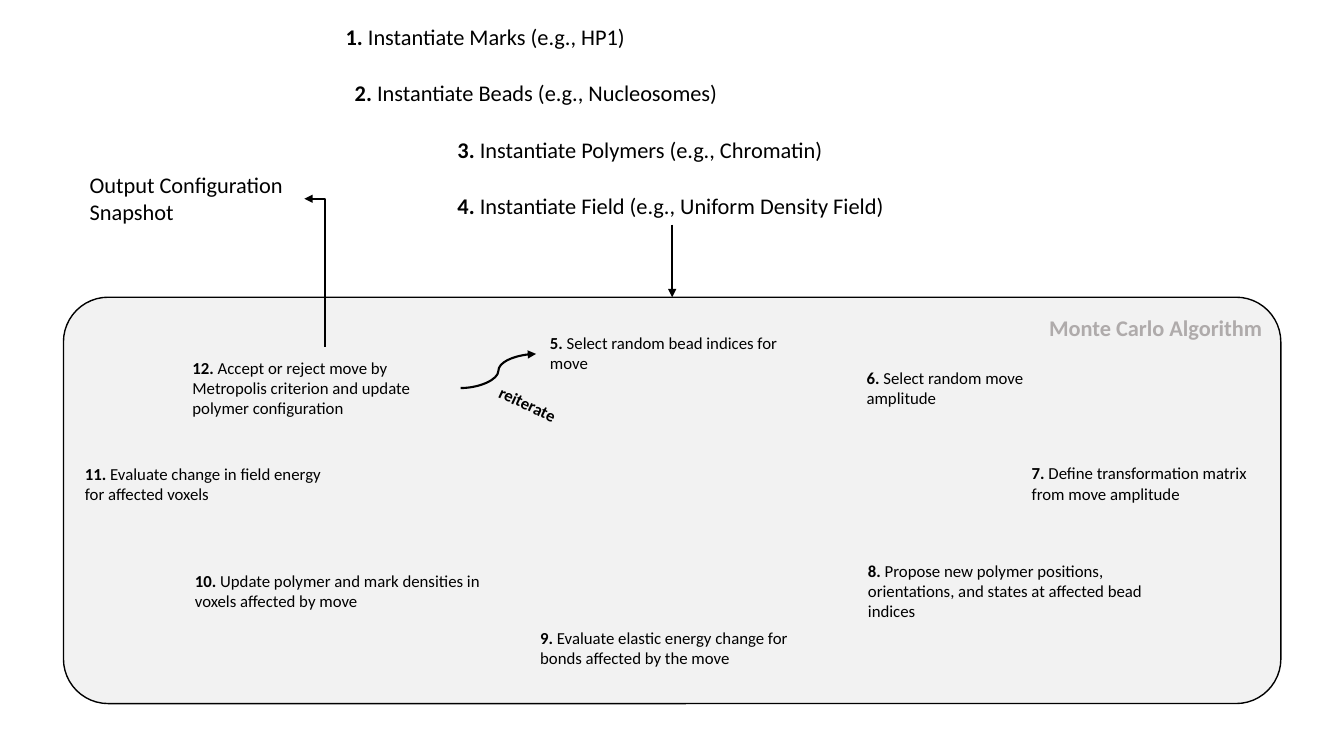
"""Build the Monte Carlo polymer simulation flow slide."""
from dataclasses import dataclass

from lxml import etree
from pptx import Presentation
from pptx.dml.color import RGBColor
from pptx.enum import shapes, text
from pptx.oxml import ns
from pptx.util import Cm, Pt


@dataclass(frozen=True)
class Theme:
    font: str = "Calibri"
    ink: RGBColor = RGBColor(0, 0, 0)
    panel: RGBColor = RGBColor(0xF2, 0xF2, 0xF2)
    muted: RGBColor = RGBColor(0xAF, 0xAB, 0xAB)
    large: Pt = Pt(16)
    small: Pt = Pt(12)
    outline: Pt = Pt(1)
    arrow: Pt = Pt(1.5)


@dataclass(frozen=True)
class Box:
    left: float
    top: float
    width: float
    height: float

    def lengths(self) -> tuple:
        return Cm(self.left), Cm(self.top), Cm(self.width), Cm(self.height)


@dataclass(frozen=True)
class Label:
    box: Box
    bold: str = ""
    plain: str = ""
    size: Pt = Theme.large
    color: RGBColor = Theme.ink
    wrap: bool = True
    rotation: float = 0


@dataclass(frozen=True)
class Arrow:
    kind: shapes.MSO_CONNECTOR
    start: tuple
    end: tuple
    preset: str = ""
    rotation: int = 0


THEME = Theme()
SETUP_TOP, SETUP_PITCH, LINE_HEIGHT = 0.46, 1.42, 0.94
PANEL = Box(1.6, 7.49, 30.68, 10.24)

SETUP = [
    (8.46, 8.05, "Instantiate Marks (e.g., HP1)"),
    (8.69, 9.73, "Instantiate Beads (e.g., Nucleosomes)"),
    (11.28, 13.36, "Instantiate Polymers (e.g., Chromatin)"),
    (11.28, 11.5, "Instantiate Field (e.g., Uniform Density Field)"),
]
CYCLE = [
    (Box(13.51, 7.87, 6.81, 2.06), "Select random bead indices for move"),
    (Box(21.49, 8.74, 5.79, 2.06), "Select random move amplitude"),
    (Box(25.65, 11.15, 6.63, 2.06), "Define transformation matrix from move amplitude"),
    (Box(21.49, 13.51, 7.9, 2.74),
     "Propose new polymer positions, orientations, and states at affected bead indices"),
    (Box(13.23, 14.96, 7.92, 2.74),
     "Evaluate elastic energy change for bonds affected by the move"),
    (Box(4.5, 13.23, 8.03, 3.3),
     "Update polymer and mark densities in voxels affected by move"),
    (Box(1.73, 10.54, 7.11, 3.3), "Evaluate change in field energy for affected voxels"),
    (Box(4.5, 8.74, 7.37, 2.06),
     "Accept or reject move by Metropolis criterion and update polymer configuration"),
]
CAPTIONS = [
    Label(Box(26.19, 7.8, 5.94, LINE_HEIGHT), bold="Monte Carlo Algorithm",
          color=THEME.muted, wrap=False),
    Label(Box(2.01, 4.19, 5.66, 1.63), plain="Output Configuration Snapshot"),
    Label(Box(12.29, 9.8, 2.03, 0.76), bold="reiterate", size=THEME.small,
          wrap=False, rotation=25),
]
ARROWS = [
    Arrow(shapes.MSO_CONNECTOR.STRAIGHT, (16.94, 5.66), (16.94, PANEL.top)),
    Arrow(shapes.MSO_CONNECTOR.ELBOW, (6.06, 7.13), (9.79, 6.62), "bentConnector2", 270),
    Arrow(shapes.MSO_CONNECTOR.CURVE, (11.61, 9.78), (13.51, 8.92)),
]


def write_label(shape, label: Label) -> None:
    """Write the bold and plain parts of a label into a shape."""
    frame = shape.text_frame
    frame.word_wrap = label.wrap
    paragraph = frame.paragraphs[0]
    paragraph.alignment = text.PP_ALIGN.LEFT
    for part, bold in ((label.bold, True), (label.plain, False)):
        if part:
            run = paragraph.add_run()
            run.text = part
            run.font.name, run.font.size = THEME.font, label.size
            run.font.bold, run.font.color.rgb = bold, label.color


def add_caption(slide, label: Label) -> None:
    """Add a free text box that grows with its text."""
    shape = slide.shapes.add_textbox(*label.box.lengths())
    shape.rotation = label.rotation
    write_label(shape, label)
    shape.text_frame.auto_size = text.MSO_AUTO_SIZE.SHAPE_TO_FIT_TEXT


def add_rounded(slide, box: Box):
    """Add a rounded rectangle without a shadow."""
    shape = slide.shapes.add_shape(shapes.MSO_SHAPE.ROUNDED_RECTANGLE, *box.lengths())
    shape.shadow.inherit = False
    return shape


def add_panel(slide) -> None:
    """Add the grey panel behind the algorithm cycle."""
    panel = add_rounded(slide, PANEL)
    panel.adjustments[0] = 0.11
    panel.fill.solid()
    panel.fill.fore_color.rgb = THEME.panel
    panel.line.color.rgb = THEME.ink
    panel.line.width = THEME.outline


def add_step(slide, label: Label) -> None:
    """Add one unfilled step of the cycle."""
    step = add_rounded(slide, label.box)
    step.fill.background()
    step.line.fill.background()
    write_label(step, label)
    step.text_frame.vertical_anchor = text.MSO_ANCHOR.MIDDLE


def add_arrow(slide, arrow: Arrow) -> None:
    """Add a connector with a triangular head at its end."""
    points = [Cm(value) for value in (*arrow.start, *arrow.end)]
    connector = slide.shapes.add_connector(arrow.kind, *points)
    connector.line.color.rgb = THEME.ink
    connector.line.width = THEME.arrow
    properties = connector._element.spPr
    outline = properties.find(ns.qn("a:ln"))
    etree.SubElement(outline, ns.qn("a:tailEnd"), type="triangle")
    etree.SubElement(properties, ns.qn("a:effectLst"))
    if arrow.preset:
        properties.find(ns.qn("a:prstGeom")).set("prst", arrow.preset)
        properties.find(ns.qn("a:xfrm")).set("rot", str(arrow.rotation * 60000))


def main() -> None:
    """Assemble and save the slide."""
    presentation = Presentation()
    presentation.slide_width, presentation.slide_height = Cm(33.87), Cm(19.05)
    slide = presentation.slides.add_slide(presentation.slide_layouts[6])
    add_panel(slide)
    for index, (left, width, wording) in enumerate(SETUP):
        box = Box(left, SETUP_TOP + index * SETUP_PITCH, width, LINE_HEIGHT)
        add_caption(slide, Label(box, f"{index + 1}.", f" {wording}"))
    for number, (box, wording) in enumerate(CYCLE, start=len(SETUP) + 1):
        add_step(slide, Label(box, f"{number}.", f" {wording}", THEME.small))
    for caption in CAPTIONS:
        add_caption(slide, caption)
    for arrow in ARROWS:
        add_arrow(slide, arrow)
    presentation.save("out.pptx")


main()
